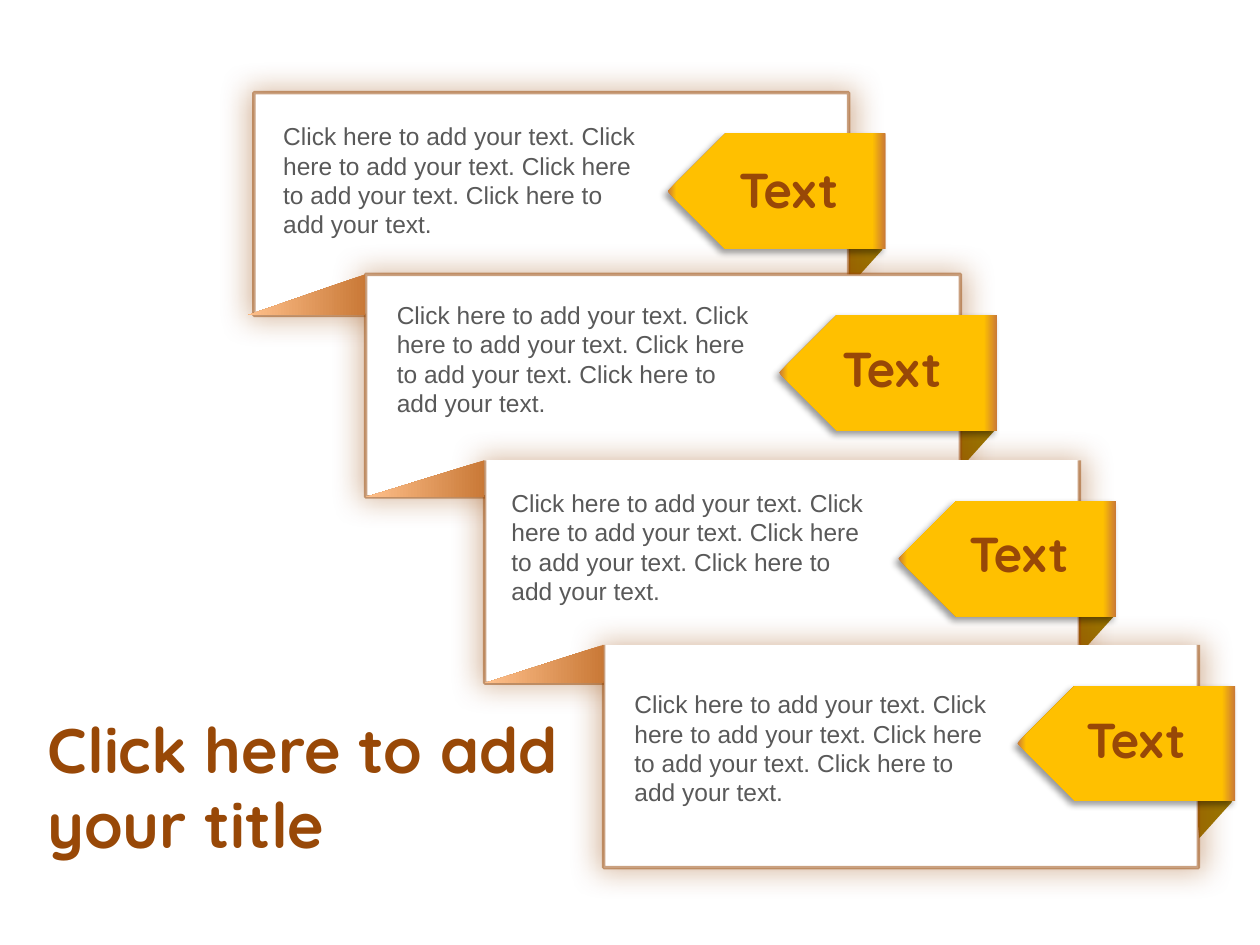
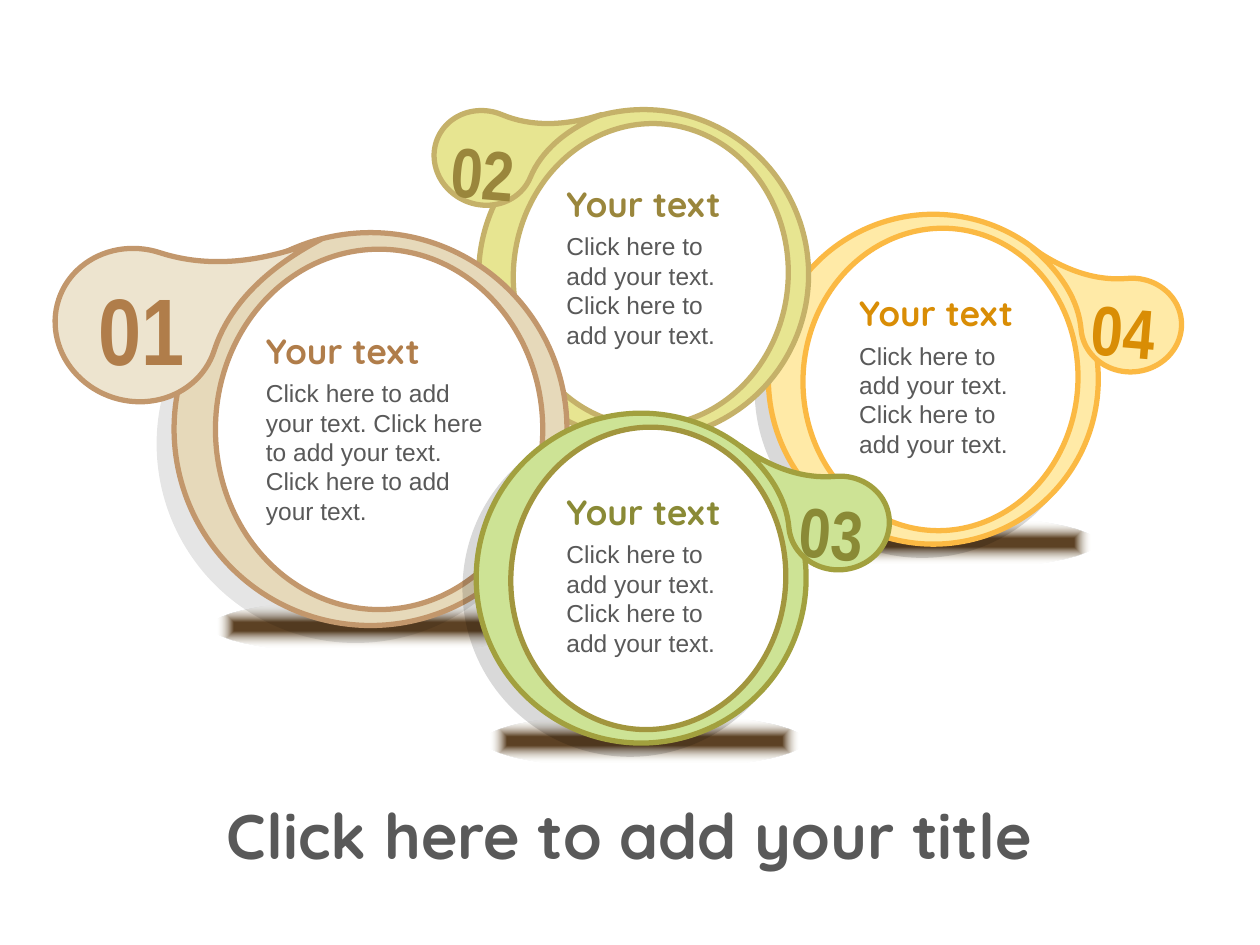
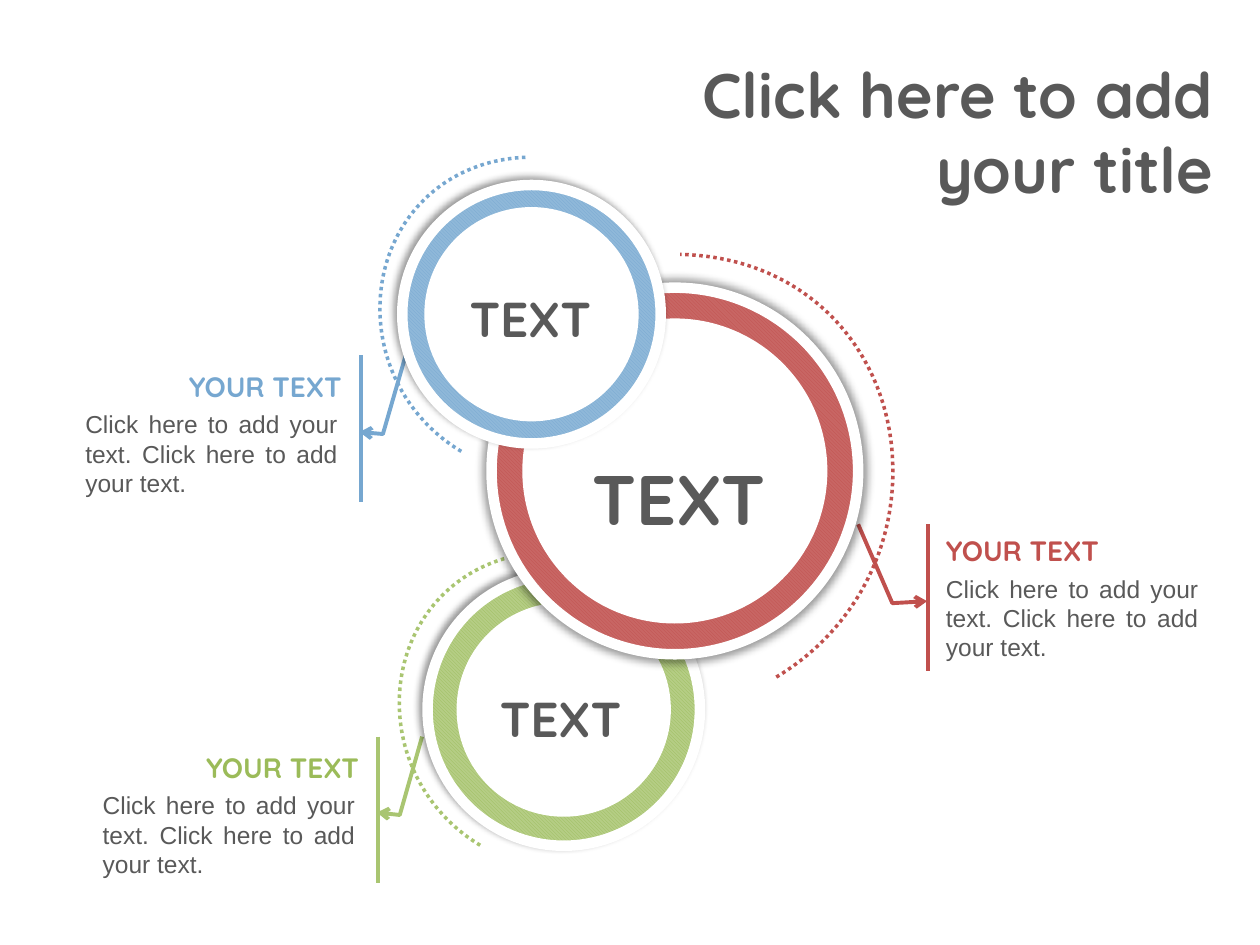
from pptx import Presentation
from pptx.dml.color import RGBColor
from pptx.enum.dml import MSO_LINE, MSO_PATTERN
from pptx.enum.shapes import MSO_CONNECTOR, MSO_SHAPE
from pptx.enum.text import MSO_AUTO_SIZE, PP_ALIGN
from pptx.oxml.ns import qn
from pptx.util import Cm, Pt
from lxml.etree import SubElement

WHITE = RGBColor(0xFF, 0xFF, 0xFF)
BLACK = RGBColor(0x00, 0x00, 0x00)
GRAY = RGBColor(0x59, 0x59, 0x59)
BROWN = RGBColor(0x98, 0x48, 0x07)
COPPER = RGBColor(0xC9, 0x79, 0x37)
PEACH = RGBColor(0xFF, 0xC0, 0x8B)
GOLD = RGBColor(0xFF, 0xC0, 0x00)
DARK_GOLD = RGBColor(0x9A, 0x75, 0x00)
FLOOR_DARK = RGBColor(0x5D, 0x42, 0x25)
FLOOR_LIGHT = RGBColor(0xEE, 0xEC, 0xE1)
YELLOW = RGBColor(0xFF, 0xEA, 0xA7)
YELLOW_RIM = RGBColor(0xFB, 0xB9, 0x43)
YELLOW_TEXT = RGBColor(0xD9, 0x8D, 0x05)
LIME = RGBColor(0xE7, 0xE5, 0x91)
LIME_RIM = RGBColor(0xC5, 0xB1, 0x69)
LIME_TEXT = RGBColor(0x9A, 0x86, 0x3C)
SAND = RGBColor(0xE6, 0xD9, 0xBA)
SAND_DROP = RGBColor(0xED, 0xE4, 0xCF)
SAND_RIM = RGBColor(0xC2, 0x97, 0x6C)
SAND_TEXT = RGBColor(0xB0, 0x7D, 0x4A)
LEAF = RGBColor(0xCD, 0xE3, 0x95)
LEAF_RIM = RGBColor(0xA2, 0xA0, 0x3E)
LEAF_INNER_RIM = RGBColor(0xA2, 0x96, 0x3E)
LEAF_TEXT = RGBColor(0x8A, 0x8A, 0x36)
RED = RGBColor(0xC0, 0x50, 0x4D)
RED_LIGHT = RGBColor(0xC8, 0x66, 0x64)
GREEN = RGBColor(0x9B, 0xBB, 0x59)
GREEN_LIGHT = RGBColor(0xB5, 0xCD, 0x85)
GREEN_LINE = RGBColor(0xA9, 0xC5, 0x71)
BLUE = RGBColor(0x76, 0xA7, 0xD0)
BLUE_LIGHT = RGBColor(0x8F, 0xB8, 0xD9)

TITLE = "Click here to add your title"
SENTENCE = "Click here to add your text."
HEADING_FONT = "Quicksand"
TITLE_STYLE = dict(size=36, font=HEADING_FONT, bold=True)
LABEL_STYLE = dict(font=HEADING_FONT, bold=True, spacing=0.8)


def write(slide, text, left, top, width, height, size=14, font="Arial", color=GRAY,
          bold=False, align=PP_ALIGN.LEFT, spacing=None, rotation=0):
    box = slide.shapes.add_textbox(Cm(left), Cm(top), Cm(width), Cm(height))
    box.rotation = rotation
    frame = box.text_frame
    frame.word_wrap = True
    frame.auto_size = MSO_AUTO_SIZE.SHAPE_TO_FIT_TEXT
    paragraph = frame.paragraphs[0]
    paragraph.alignment = align
    if spacing:
        paragraph.line_spacing = spacing
    run = paragraph.add_run()
    run.text = text
    run.font.size = Pt(size)
    run.font.name = font
    run.font.bold = bold
    run.font.color.rgb = color


def style(shape, fill=None, stops=None, angle=0, radial=False, pattern=None, line=None, weight=1,
          line_alpha=None, shadow=None, shadow_scale=100, rotation=0, flip=""):
    shape.rotation = rotation
    properties = shape._element.spPr
    for axis in flip:
        properties.get_or_add_xfrm().set("flip" + axis, "1")

    if stops:
        shape.fill.gradient()
        gradient = properties.find(qn("a:gradFill"))
        stop_list = gradient.find(qn("a:gsLst"))
        for stop in list(stop_list):
            stop_list.remove(stop)
        for position, color, alpha in stops:
            stop = SubElement(stop_list, qn("a:gs"), pos=str(position * 1000))
            value = SubElement(stop, qn("a:srgbClr"), val=str(color))
            SubElement(value, qn("a:alpha"), val=str(alpha * 1000))
        linear = gradient.find(qn("a:lin"))
        linear.set("ang", str(angle * 60000))
        if radial:
            gradient.remove(linear)
            center = SubElement(gradient, qn("a:path"), path="shape")
            SubElement(center, qn("a:fillToRect"), l="50000", t="50000", r="50000", b="50000")
    elif pattern:
        shape.fill.patterned()
        shape.fill.pattern = MSO_PATTERN.DARK_DOWNWARD_DIAGONAL
        shape.fill.fore_color.rgb, shape.fill.back_color.rgb = pattern
    elif fill is None:
        shape.fill.background()
    else:
        shape.fill.solid()
        shape.fill.fore_color.rgb = fill

    if line is None:
        shape.line.fill.background()
    else:
        shape.line.color.rgb = line
        shape.line.width = Pt(weight)
        if line_alpha:
            value = properties.find(qn("a:ln")).find(".//" + qn("a:srgbClr"))
            SubElement(value, qn("a:alpha"), val=str(line_alpha * 1000))

    shape.shadow.inherit = False
    if shadow:
        color, alpha, blur, distance, direction = shadow
        effect = SubElement(properties.find(qn("a:effectLst")), qn("a:outerShdw"),
                            blurRad=str(Pt(blur)), dist=str(Pt(distance)),
                            dir=str(direction * 60000), sx=str(shadow_scale * 1000),
                            sy=str(shadow_scale * 1000), algn="ctr", rotWithShape="0")
        value = SubElement(effect, qn("a:srgbClr"), val=str(color))
        SubElement(value, qn("a:alpha"), val=str(alpha * 1000))


presentation = Presentation()
presentation.slide_width = Cm(25.4)
presentation.slide_height = Cm(19.05)
blank = presentation.slide_layouts[6]

slide = presentation.slides.add_slide(blank)
BAND_WIDTH, BAND_HEIGHT, FOLD_WIDTH = 11.99, 4.49, 2.39
bands = [
    (5.12, 1.87, False, (5.46, 2.32), (14.26, 3.33)),
    (7.37, 5.53, False, (7.75, 5.92), (16.34, 6.93)),
    (9.77, 9.28, True, (10.06, 9.71), (18.9, 10.65)),
    (12.17, 13.0, True, (12.54, 13.77), (21.26, 14.4)),
]
for left, top, open_top, body, label in bands:
    tuck = slide.shapes.add_shape(MSO_SHAPE.RIGHT_TRIANGLE, Cm(left + 11.39), Cm(top + 2.67),
                                  Cm(1.09), Cm(0.99))
    style(tuck, fill=DARK_GOLD, rotation=42, flip="HV")
    if open_top:
        right, bottom = left + BAND_WIDTH, top + BAND_HEIGHT
        builder = slide.shapes.build_freeform(Cm(right), Cm(top))
        builder.add_line_segments([(Cm(right), Cm(bottom)), (Cm(left), Cm(bottom)),
                                   (Cm(left), Cm(top))], close=False)
        band = builder.convert_to_shape()
    else:
        band = slide.shapes.add_shape(MSO_SHAPE.RECTANGLE, Cm(left), Cm(top),
                                      Cm(BAND_WIDTH), Cm(BAND_HEIGHT))
    style(band, fill=WHITE, line=BROWN, weight=2, line_alpha=51, shadow=(BROWN, 39, 17, 0, 0),
          shadow_scale=102)
    tag = slide.shapes.add_shape(MSO_SHAPE.PENTAGON, Cm(left + 8.34), Cm(top + 0.82),
                                 Cm(4.39), Cm(2.33))
    style(tag, stops=[(0, COPPER, 100), (4, GOLD, 100), (94, GOLD, 100), (100, COPPER, 100)],
          angle=180, flip="H", shadow=(BLACK, 40, 4, 3, 135))
    write(slide, " ".join([SENTENCE] * 4), *body, 7.87, 2.21)
    write(slide, "Text", *label, 3.28, 1.02, size=28, color=BROWN, align=PP_ALIGN.CENTER,
          **LABEL_STYLE)

for band, following in zip(bands, bands[1:]):
    left, top = following[:2]
    fold = slide.shapes.add_shape(MSO_SHAPE.RIGHT_TRIANGLE, Cm(left - FOLD_WIDTH), Cm(top),
                                  Cm(FOLD_WIDTH), Cm(band[1] + BAND_HEIGHT - top))
    style(fold, stops=[(0, COPPER, 100), (100, PEACH, 100)], flip="H")
write(slide, TITLE, 0.71, 14.19, 11.2, 3.33, color=BROWN, **TITLE_STYLE)

slide = presentation.slides.add_slide(blank)
discs = [
    dict(number="04", place=(15.49, 4.32), size=6.65, tilt=4.7, floor=(15.65, 10.39),
         shadow=(BLACK, 15, 0, 9, 135), drop=(21.79, 5.61, 2.03), drop_tilt=355, flip="H",
         digits=(21.66, 6.0, 1.96, 1.63), digit_size=40, heading=(17.07, 5.92), body_width=3.96,
         repeats=2, colors=(YELLOW, YELLOW, YELLOW_RIM, YELLOW_RIM, YELLOW_TEXT)),
    dict(number="02", place=(9.65, 2.21), size=6.65, tilt=4.7, floor=None,
         shadow=None, drop=(8.74, 2.24, 2.03), drop_tilt=22.7, flip="",
         digits=(8.49, 2.81, 2.49, 1.47), digit_size=40, heading=(11.17, 3.72), body_width=3.96,
         repeats=2, colors=(LIME, LIME, LIME_RIM, LIME_RIM, LIME_TEXT)),
    dict(number="01", place=(3.51, 4.69), size=7.92, tilt=0, floor=(4.27, 12.09),
         shadow=(BLACK, 9, 0, 12, 135), drop=(1.1, 5.02, 3.3), drop_tilt=18, flip="",
         digits=(1.66, 5.79, 2.39, 1.9), digit_size=54, heading=(5.11, 6.68), body_width=5.16,
         repeats=3, colors=(SAND, SAND_DROP, SAND_RIM, SAND_RIM, SAND_TEXT)),
    dict(number="03", place=(9.6, 8.33), size=6.65, tilt=4.7, floor=(9.76, 14.39),
         shadow=(BLACK, 15, 0, 9, 135), drop=(15.9, 9.6, 2.03), drop_tilt=355, flip="H",
         digits=(15.78, 10.07, 1.96, 1.47), digit_size=40, heading=(11.17, 9.93), body_width=3.96,
         repeats=2, colors=(LEAF, LEAF, LEAF_RIM, LEAF_INNER_RIM, LEAF_TEXT)),
]
for disc in discs:
    fill, drop_fill, rim, inner_rim, text_color = disc["colors"]
    left, top = disc["place"]
    size, tilt = disc["size"], disc["tilt"]
    if disc["floor"]:
        floor_left, floor_top = disc["floor"]
        floor = slide.shapes.add_shape(MSO_SHAPE.OVAL, Cm(floor_left), Cm(floor_top),
                                       Cm(6.45), Cm(1.09))
        style(floor, stops=[(16, FLOOR_DARK, 100), (78, FLOOR_LIGHT, 0)], radial=True, rotation=180)
    outer = slide.shapes.add_shape(MSO_SHAPE.OVAL, Cm(left), Cm(top), Cm(size), Cm(size))
    style(outer, fill=fill, line=rim, weight=3, shadow=disc["shadow"], rotation=tilt)
    scale = size / 6.65
    inner = slide.shapes.add_shape(MSO_SHAPE.OVAL, Cm(left + 0.7 * scale), Cm(top + 0.28 * scale),
                                   Cm(5.54 * scale), Cm(6.1 * scale))
    style(inner, fill=WHITE, line=inner_rim, weight=3, rotation=tilt)
    drop_left, drop_top, drop_width = disc["drop"]
    drop = slide.shapes.add_shape(MSO_SHAPE.TEAR, Cm(drop_left), Cm(drop_top),
                                  Cm(drop_width), Cm(drop_width * 0.93))
    drop.adjustments[0] = 1.82
    style(drop, fill=drop_fill, line=rim, weight=3, rotation=disc["drop_tilt"], flip=disc["flip"])
    write(slide, disc["number"], *disc["digits"], size=disc["digit_size"], font="Arial Narrow",
          color=text_color, bold=True, align=PP_ALIGN.CENTER, spacing=0.8, rotation=tilt)
    text_left, text_top = disc["heading"]
    write(slide, "Your text", text_left, text_top, 4.14, 0.86, size=20, color=text_color,
          **LABEL_STYLE)
    write(slide, " ".join([SENTENCE] * disc["repeats"]), text_left, text_top + 0.82,
          disc["body_width"], 2.64)
write(slide, TITLE, 3.87, 15.93, 17.63, 1.8, align=PP_ALIGN.CENTER, **TITLE_STYLE)

slide = presentation.slides.add_slide(blank)
SOFT_SHADOW = (BLACK, 40, 4, 3, 225)
rings = [
    dict(place=(8.62, 11.56), size=5.49, hole=4.32, pattern=(GREEN, GREEN_LIGHT),
         shadow=SOFT_SHADOW, shadow_scale=100, line=GREEN_LINE, color=GREEN,
         arc=[(9.68, 17.04), (8.71, 16.46), (8.05, 15.39), (8.05, 14.17),
              (8.05, 12.55), (9.22, 11.18), (11.02, 11.13)],
         elbow=[(8.51, 14.85), (8.06, 16.43), (7.6, 16.38)], bar=7.62,
         label=(9.7, 13.99, 3.2, 1.14), label_size=28,
         heading=(3.3, 15.13), body_left=1.82, align=PP_ALIGN.RIGHT),
    dict(place=(9.91, 5.8), size=7.39, hole=6.15, pattern=(RED, RED_LIGHT),
         shadow=(BLACK, 40, 5, 0, 0), shadow_scale=102, line=RED, color=RED,
         arc=[(15.65, 13.65), (17.07, 12.8), (18.0, 11.28), (18.0, 9.5),
              (18.0, 7.14), (16.31, 5.18), (13.71, 5.13)],
         elbow=[(17.3, 10.57), (17.99, 12.16), (18.69, 12.12)], bar=18.71,
         label=(11.3, 9.38, 4.78, 1.63), label_size=40,
         heading=(18.82, 10.76), body_left=18.82, align=PP_ALIGN.LEFT),
    dict(place=(8.11, 3.73), size=5.21, hole=4.32, pattern=(BLUE, BLUE_LIGHT),
         shadow=SOFT_SHADOW, shadow_scale=100, line=BLUE, color=BLUE,
         arc=[(9.3, 9.1), (8.31, 8.51), (7.66, 7.44), (7.66, 6.22),
              (7.66, 4.57), (8.86, 3.22), (10.64, 3.17)],
         elbow=[(8.18, 7.16), (7.72, 8.75), (7.25, 8.71)], bar=7.28,
         label=(9.09, 5.92, 3.2, 1.14), label_size=28,
         heading=(2.95, 7.45), body_left=1.47, align=PP_ALIGN.RIGHT),
]
for ring in rings:
    arc, elbow = [[(Cm(x), Cm(y)) for x, y in ring[name]] for name in ("arc", "elbow")]
    anchors = arc[::3]
    for corners, weight in ((anchors, 2), (elbow, 2.25)):
        builder = slide.shapes.build_freeform(*corners[0])
        builder.add_line_segments(corners[1:], close=False)
        outline = builder.convert_to_shape()
        style(outline, line=ring["line"], weight=weight)
        if corners is elbow:
            SubElement(outline._element.spPr.find(qn("a:ln")), qn("a:tailEnd"), type="arrow")
            continue
        outline.line.dash_style = MSO_LINE.ROUND_DOT
        segments = list(outline._element.iter(qn("a:lnTo")))
        for segment, first in zip(segments, (1, 4)):
            route = segment.getparent()
            route.remove(segment)
            bend = SubElement(route, qn("a:cubicBezTo"))
            for x, y in arc[first:first + 3]:
                SubElement(bend, qn("a:pt"), x=str(x - outline.left), y=str(y - outline.top))

    bar_top = ring["elbow"][0][1]
    bar = slide.shapes.add_connector(MSO_CONNECTOR.STRAIGHT, Cm(ring["bar"]), Cm(bar_top),
                                     Cm(ring["bar"]), Cm(bar_top + 2.96))
    bar.line.color.rgb = ring["line"]
    bar.line.width = Pt(2.25)
    SubElement(bar._element.spPr, qn("a:effectLst"))

    left, top = ring["place"]
    size, hole = ring["size"], ring["hole"]
    inset = (size - hole) / 2
    outer = slide.shapes.add_shape(MSO_SHAPE.OVAL, Cm(left), Cm(top), Cm(size), Cm(size))
    style(outer, pattern=ring["pattern"], line=WHITE, weight=6, shadow=ring["shadow"],
          shadow_scale=ring["shadow_scale"])
    inner = slide.shapes.add_shape(MSO_SHAPE.OVAL, Cm(left + inset), Cm(top + inset),
                                   Cm(hole), Cm(hole))
    style(inner, fill=WHITE)

    write(slide, "TEXT", *ring["label"], size=ring["label_size"], align=PP_ALIGN.CENTER,
          **LABEL_STYLE)
    heading_left, heading_top = ring["heading"]
    write(slide, "YOUR TEXT", heading_left, heading_top, 4.19, 0.81, size=16,
          color=ring["color"], align=ring["align"], **LABEL_STYLE)
    write(slide, " ".join([SENTENCE] * 2), ring["body_left"], heading_top + 0.68, 5.59, 2.06,
          align=PP_ALIGN.JUSTIFY)
write(slide, TITLE, 12.1, 0.99, 12.6, 3.33, align=PP_ALIGN.RIGHT, **TITLE_STYLE)

presentation.save("out.pptx")
